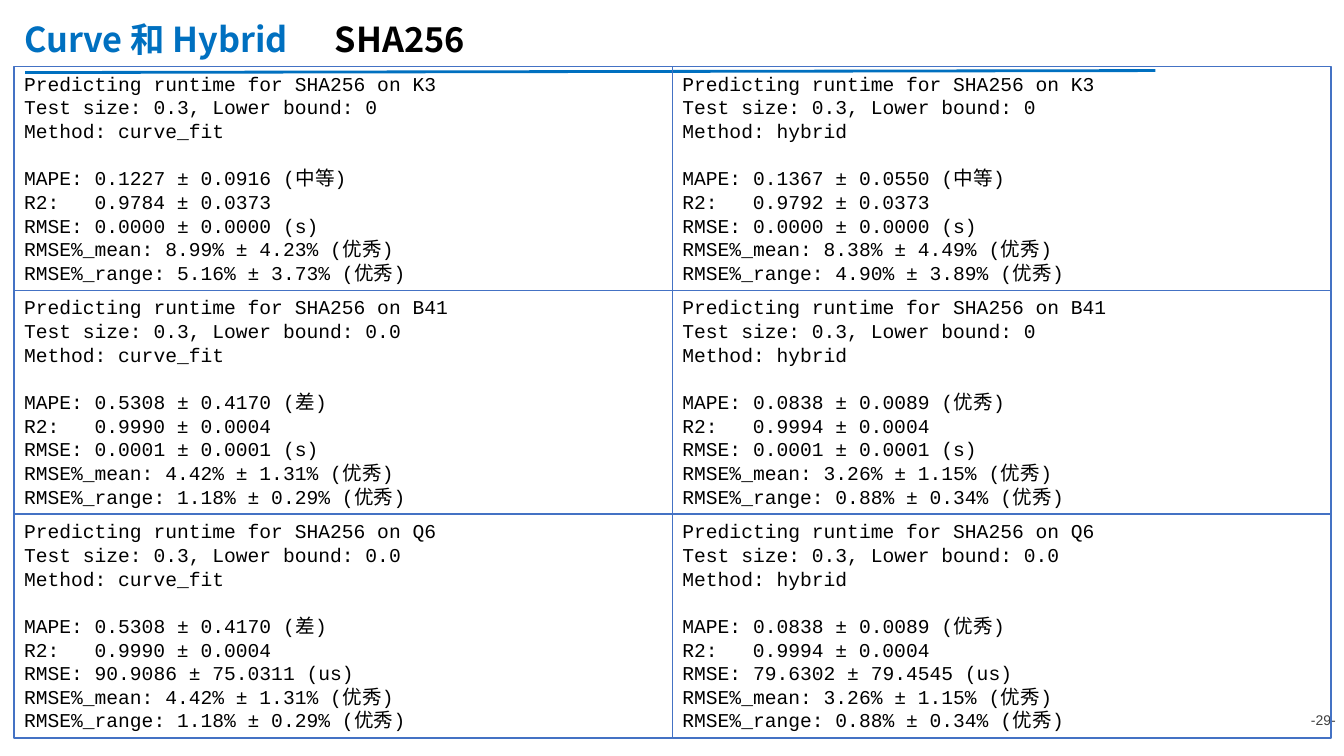
from lxml import etree
from pptx import Presentation
from pptx.dml.color import RGBColor
from pptx.enum.shapes import MSO_CONNECTOR, MSO_SHAPE
from pptx.enum.text import MSO_ANCHOR, MSO_AUTO_SIZE, PP_ALIGN
from pptx.oxml.ns import qn
from pptx.util import Inches, Pt

RECTANGLE = MSO_SHAPE.RECTANGLE
STRAIGHT = MSO_CONNECTOR.STRAIGHT
LEFT, CENTER = PP_ALIGN.LEFT, PP_ALIGN.CENTER
TOP, MIDDLE = MSO_ANCHOR.TOP, MSO_ANCHOR.MIDDLE
NO_AUTOFIT = MSO_AUTO_SIZE.NONE
CJK_FONT = "Noto Sans CJK SC"
LINE_PITCH = 16.9


def style_run(run, font, size, color, bold=False):
    run.font.name = font
    run.font.size = Pt(size)
    run.font.bold = bold
    run.font.color.rgb = RGBColor.from_string(color)
    east_asian = etree.SubElement(run.font._element, qn("a:ea"))
    east_asian.set("typeface", CJK_FONT)


def add_tab_stop(paragraph, position):
    tab_list = etree.SubElement(paragraph._p.get_or_add_pPr(), qn("a:tabLst"))
    etree.SubElement(tab_list, qn("a:tab"), pos=str(Inches(position)), algn="l")


presentation = Presentation()
presentation.slide_width = Inches(13.33)
presentation.slide_height = Inches(7.5)
slide = presentation.slides.add_slide(presentation.slide_layouts[5])

# Title
title = slide.shapes.title
title.left, title.top = Inches(0.14), Inches(0.16)
title.width, title.height = Inches(7.6), Inches(0.5)
title.text_frame.auto_size = NO_AUTOFIT
title.text_frame.vertical_anchor = MIDDLE
paragraph = title.text_frame.paragraphs[0]
paragraph.alignment = LEFT
paragraph.line_spacing = 0.9
add_tab_stop(paragraph, 3.08)
for text, color in (("Curve 和 Hybrid\t", "0070C0"), ("SHA256", "000000")):
    run = paragraph.add_run()
    run.text = text
    style_run(run, CJK_FONT, 24.5, color, bold=True)

# Rule under the title
rule = slide.shapes.add_connector(
    STRAIGHT, Inches(0.25), Inches(0.72), Inches(11.46), Inches(0.7))
rule.line.color.rgb = RGBColor.from_string("0070C0")
rule.line.width = Pt(2)
etree.SubElement(rule._element.spPr, qn("a:effectLst"))

# Page number
page_number = slide.shapes.add_textbox(
    Inches(12.85), Inches(6.94), Inches(0.55), Inches(0.4))
page_number.text_frame.word_wrap = True
page_number.text_frame.vertical_anchor = MIDDLE
page_number.text_frame.text = "-29-"
paragraph = page_number.text_frame.paragraphs[0]
paragraph.alignment = CENTER
style_run(paragraph.runs[0], "Arial", 10, "404040")

# Results: one row per processor, one column per method
# (lower bound, MAPE, R2, RMSE, RMSE%_mean, RMSE%_range)
methods = ("curve_fit", "hybrid")
results = {
    "K3": (
        ("0", "0.1227 ± 0.0916 (中等)", "0.9784 ± 0.0373",
         "0.0000 ± 0.0000 (s)", "8.99% ± 4.23%", "5.16% ± 3.73%"),
        ("0", "0.1367 ± 0.0550 (中等)", "0.9792 ± 0.0373",
         "0.0000 ± 0.0000 (s)", "8.38% ± 4.49%", "4.90% ± 3.89%"),
    ),
    "B41": (
        ("0.0", "0.5308 ± 0.4170 (差)", "0.9990 ± 0.0004",
         "0.0001 ± 0.0001 (s)", "4.42% ± 1.31%", "1.18% ± 0.29%"),
        ("0", "0.0838 ± 0.0089 (优秀)", "0.9994 ± 0.0004",
         "0.0001 ± 0.0001 (s)", "3.26% ± 1.15%", "0.88% ± 0.34%"),
    ),
    "Q6": (
        ("0.0", "0.5308 ± 0.4170 (差)", "0.9990 ± 0.0004",
         "90.9086 ± 75.0311 (us)", "4.42% ± 1.31%", "1.18% ± 0.29%"),
        ("0.0", "0.0838 ± 0.0089 (优秀)", "0.9994 ± 0.0004",
         "79.6302 ± 79.4545 (us)", "3.26% ± 1.15%", "0.88% ± 0.34%"),
    ),
}
grid_left, grid_top = 0.14, 0.66
box_width, box_height = 6.53, 2.22

for row, (processor, row_results) in enumerate(results.items()):
    for column, (method, values) in enumerate(zip(methods, row_results)):
        bound, mape, r2, rmse, mean_share, range_share = values
        box = slide.shapes.add_shape(
            RECTANGLE,
            Inches(grid_left + column * box_width),
            Inches(grid_top + row * box_height),
            Inches(box_width), Inches(box_height))
        box.shadow.inherit = False
        box.fill.background()
        box.line.color.rgb = RGBColor.from_string("4472C4")
        box.line.width = Pt(1)
        box.text_frame.word_wrap = True
        box.text_frame.vertical_anchor = TOP
        box.text_frame.text = "\n".join((
            f"Predicting runtime for SHA256 on {processor}",
            f"Test size: 0.3, Lower bound: {bound}",
            f"Method: {method}",
            f"MAPE: {mape}",
            f"R2:\t{r2}",
            f"RMSE: {rmse}",
            f"RMSE%_mean: {mean_share} (优秀)",
            f"RMSE%_range: {range_share} (优秀)",
        ))
        for paragraph in box.text_frame.paragraphs:
            paragraph.alignment = LEFT
            paragraph.line_spacing = Pt(LINE_PITCH)
            if paragraph.text.startswith("MAPE"):
                paragraph.space_before = Pt(LINE_PITCH)
            if "\t" in paragraph.text:
                add_tab_stop(paragraph, 0.7)
            style_run(paragraph.runs[0], "Courier New", 14, "000000")

presentation.save("out.pptx")
